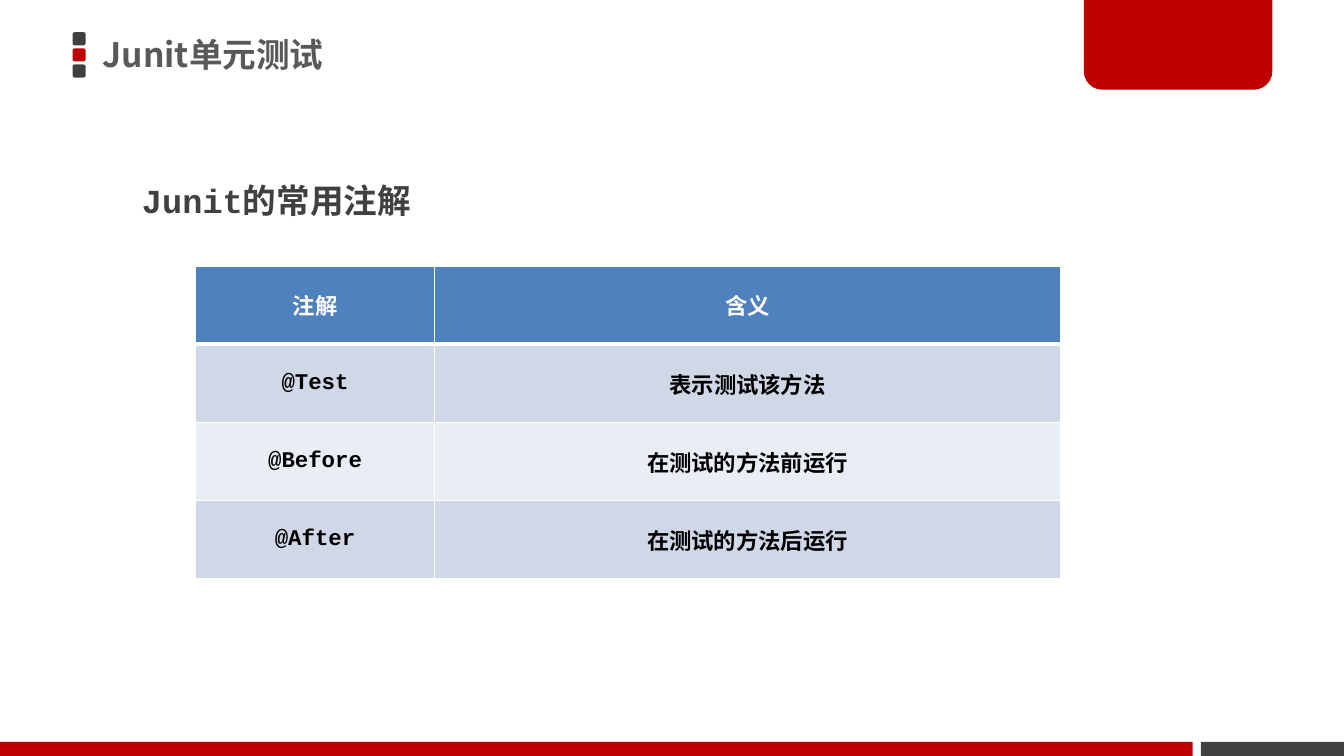
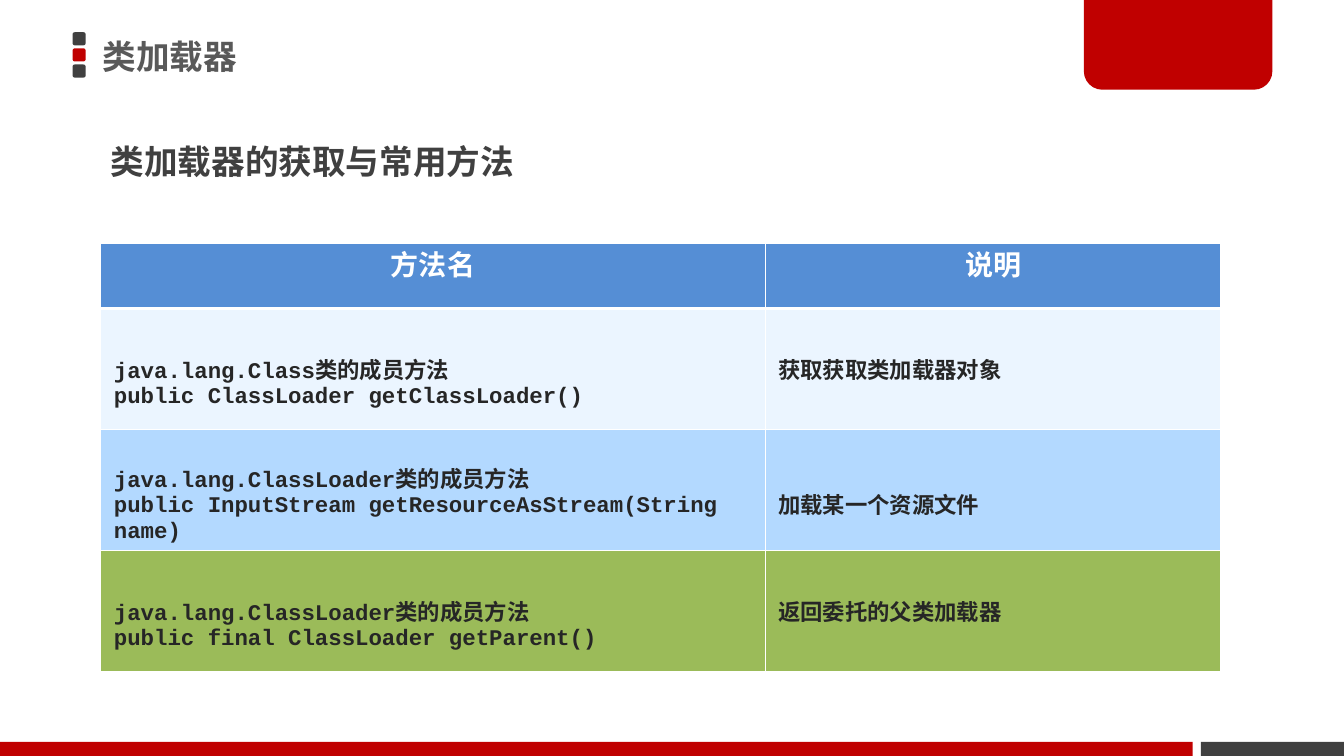
from lxml.etree import SubElement
from pptx import Presentation
from pptx.dml.color import RGBColor
from pptx.enum.shapes import MSO_SHAPE
from pptx.enum.text import MSO_ANCHOR, MSO_AUTO_SIZE, PP_ALIGN
from pptx.oxml.ns import qn
from pptx.util import Inches, Pt

# Shared look
RED, DARK, GREY, WHITE = "C00000", "404040", "595959", "FFFFFF"
BLACK, INK = "000000", "262626"
SANS, MONO = "Noto Sans CJK JP", "Courier New"


def rgb(color):
    return RGBColor.from_string(color)


def style(p, size, color, font=MONO, align=None, spacing=None):
    f = p.font
    f.name, f.size, f.bold = font, Pt(size), True
    f.color.rgb = rgb(color)
    # East Asian characters always use the sans face
    def_rpr = p._p.pPr.find(qn("a:defRPr"))
    SubElement(def_rpr, qn("a:ea")).set("typeface", SANS)
    if align is not None:
        p.alignment = align
    if spacing is not None:
        p.line_spacing = spacing


def add_block(shapes, kind, x, y, w, h, color):
    sp = shapes.add_shape(kind, Inches(x), Inches(y), Inches(w), Inches(h))
    sp.shadow.inherit = False
    sp.fill.solid()
    sp.fill.fore_color.rgb = rgb(color)
    sp.line.fill.background()
    return sp


def add_text(s, text, x, y, w, h, color, font=SANS, spacing=None):
    sp = s.shapes.add_textbox(Inches(x), Inches(y), Inches(w), Inches(h))
    tf = sp.text_frame
    tf.word_wrap = True
    p = tf.paragraphs[0]
    p.text = text
    style(p, 24, color, font, spacing=spacing)
    return tf


def add_heading(s, text, x, y, w, font=SANS):
    tf = add_text(s, text, x, y, w, 0.65, DARK, font, 1.5)
    tf.auto_size = MSO_AUTO_SIZE.SHAPE_TO_FIT_TEXT


def add_base(prs, title, spacing):
    """New slide with title, marker squares, corner tab and footer band."""
    s = prs.slides.add_slide(prs.slide_layouts[6])
    marker = s.shapes.add_group_shape()
    for i, color in enumerate((DARK, RED, DARK)):
        add_block(marker.shapes, MSO_SHAPE.ROUNDED_RECTANGLE,
                  0.72, 0.32 + 0.16 * i, 0.13, 0.13, color)
    add_block(s.shapes, MSO_SHAPE.RECTANGLE, 11.91, 7.36, 1.42, 0.14, DARK)
    tab = add_block(s.shapes, MSO_SHAPE.ROUND_2_SAME_RECTANGLE,
                    10.75, -0.03, 1.87, 0.92, RED)
    tab.adjustments[0], tab.adjustments[1] = 0, 0.2
    add_block(s.shapes, MSO_SHAPE.RECTANGLE, 0, 7.36, 11.83, 0.14, RED)
    tf = add_text(s, title, 0.92, -0.03, 7.85, 1.18, GREY, spacing=spacing)
    tf.vertical_anchor = MSO_ANCHOR.MIDDLE
    return s


def set_borders(cell, top=1, bottom=1):
    tc_pr = cell._tc.get_or_add_tcPr()
    for side, width in (("L", 1), ("R", 1), ("T", top), ("B", bottom)):
        ln = SubElement(tc_pr, qn("a:ln" + side), w=str(Pt(width)))
        fill = SubElement(ln, qn("a:solidFill"))
        SubElement(fill, qn("a:srgbClr"), val=WHITE)


def add_grid(s, x, y, widths, heights):
    w, h = sum(widths), sum(heights)
    table = s.shapes.add_table(len(heights), len(widths), Inches(x), Inches(y),
                               Inches(w), Inches(h)).table
    table.first_row = table.horz_banding = False
    for col, width in zip(table.columns, widths):
        col.width = Inches(width)
    for row, height in zip(table.rows, heights):
        row.height = Inches(height)
    return table


def fill_cell(cell, text, fill, size, color, inset=(0.1, 0.05), lead=0,
              align=None, spacing=None, anchor=MSO_ANCHOR.MIDDLE,
              top=1, bottom=1):
    """Write one cell; lead is extra room above its text."""
    set_borders(cell, top, bottom)
    cell.fill.solid()
    cell.fill.fore_color.rgb = rgb(fill)
    cell.vertical_anchor = anchor
    cell.margin_left = cell.margin_right = Inches(inset[0])
    cell.margin_top = Inches(inset[1] + lead)
    cell.margin_bottom = Inches(inset[1])
    cell.text_frame.text = text
    for p in cell.text_frame.paragraphs:
        style(p, size, color, align=align, spacing=spacing)


def junit_slide(prs):
    s = add_base(prs, "Junit单元测试", 0.9)
    add_heading(s, "Junit的常用注解", 1.31, 1.54, 4.41, MONO)
    rows = [("注解", "含义"),
            ("@Test", "表示测试该方法"),
            ("@Before", "在测试的方法前运行"),
            ("@After", "在测试的方法后运行")]
    table = add_grid(s, 1.94, 2.64, (2.37, 6.21), [0.775] * len(rows))
    for i, texts in enumerate(rows):
        fill = "4F81BD" if i == 0 else ("E9EDF4", "D0D8E8")[i % 2]
        for j, text in enumerate(texts):
            fill_cell(table.cell(i, j), text, fill, 16, BLACK if i else WHITE,
                      align=PP_ALIGN.CENTER, top=3 if i == 1 else 1,
                      bottom=1 if i else 3)


def loader_slide(prs):
    s = add_base(prs, "类加载器", 1.0)
    add_heading(s, "类加载器的获取与常用方法", 1, 1.15, 5.12)
    widths, inset = (6.59, 4.52), (0.13, 0.07)

    def method_row(table, i, fill, method, note, note_lead=0, top=1):
        for j, (text, lead) in enumerate(((method, 0.25), (note, note_lead))):
            fill_cell(table.cell(i, j), text, fill, 16, INK, inset, lead, top=top)

    # Header and the first two methods
    table = add_grid(s, 1, 2.41, widths, (0.65, 1.2, 1.2))
    for j, text in enumerate(("方法名", "说明")):
        fill_cell(table.cell(0, j), text, "558ED5", 20, WHITE, inset,
                  align=PP_ALIGN.CENTER, spacing=Pt(24),
                  anchor=MSO_ANCHOR.TOP, bottom=3)
    method_row(table, 1, "EBF5FF",
               "java.lang.Class类的成员方法\npublic ClassLoader getClassLoader()",
               "获取获取类加载器对象", top=3)
    method_row(table, 2, "B3D9FF",
               "java.lang.ClassLoader类的成员方法\n"
               "public InputStream getResourceAsStream(String name)",
               "加载某一个资源文件", 0.27)

    # Parent loader, directly below
    table = add_grid(s, 1, 5.46, widths, (1.2,))
    method_row(table, 0, "9BBB59",
               "java.lang.ClassLoader类的成员方法\n"
               "public final ClassLoader getParent()",
               "返回委托的父类加载器")


def main():
    prs = Presentation()
    prs.slide_width, prs.slide_height = Inches(13.33), Inches(7.5)
    junit_slide(prs)
    loader_slide(prs)
    prs.save("out.pptx")


if __name__ == "__main__":
    main()
